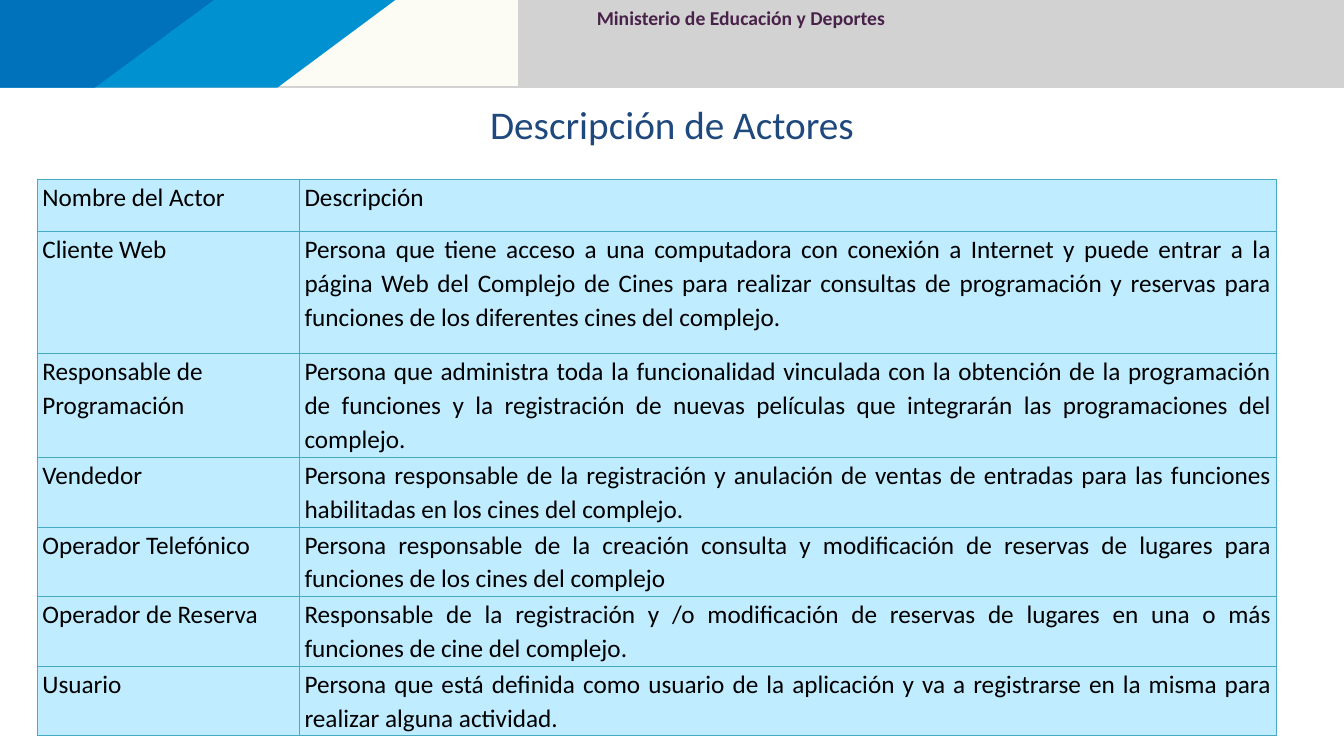
from dataclasses import dataclass

from lxml import etree
from pptx import Presentation, util as u
from pptx.dml.color import RGBColor
from pptx.enum import text as t
from pptx.oxml import ns

FONT = "Calibri"
HUES = {
    "gray": "D2D2D3", "cream": "FCFBF4", "sky": "0091D1", "blue": "0071BB",
    "plum": "492249", "navy": "1F497D", "black": "000000",
    "cell": "BFECFF", "edge": "46AAC5",
}


@dataclass
class Band:
    """Header shape with a flat left side and its own top and bottom widths."""
    hue: str
    top: float
    low: float
    y: float = 0
    base: float = 0.87


@dataclass
class Actor:
    name: str
    about: str
    high: float = 0.69
    align: t.PP_ALIGN = t.PP_ALIGN.JUSTIFY


BANDS = [
    Band("gray", 13.33, 13.33),
    Band("cream", 5.14, 5.14, -0.02, 0.85),
    Band("sky", 3.92, 2.75),
    Band("blue", 2.12, 0.94),
]
ACTORS = [
    Actor("Nombre del Actor", "Descripción", 0.52),
    Actor("Cliente Web",
          "Persona que tiene acceso a una computadora con conexión a Internet y puede "
          "entrar a la página Web del Complejo de Cines para realizar consultas de "
          "programación y reservas para funciones de los diferentes cines del complejo.",
          1.21),
    Actor("Responsable de Programación",
          "Persona que administra toda la funcionalidad vinculada con la obtención de la "
          "programación de funciones y la registración de nuevas películas que "
          "integrarán las programaciones del complejo.",
          1.03, t.PP_ALIGN.LEFT),
    Actor("Vendedor",
          "Persona responsable de la registración y anulación de ventas de entradas para "
          "las funciones habilitadas en los cines del complejo."),
    Actor("Operador Telefónico",
          "Persona responsable de la creación consulta y modificación de reservas de "
          "lugares para funciones de los cines del complejo"),
    Actor("Operador de Reserva",
          "Responsable de la registración y /o modificación de reservas de lugares en "
          "una o más funciones de cine del complejo."),
    Actor("Usuario",
          "Persona que está definida como usuario de la aplicación y va a registrarse en "
          "la misma para realizar alguna actividad."),
]
COLS = (2.6, 9.69)


def tint(name: str) -> RGBColor:
    return RGBColor.from_string(HUES[name])


def write(frame, words: str, size: int, hue: str, align: t.PP_ALIGN,
          bold: bool = False, lead: float = 1.0, after: int = 0) -> None:
    frame.text = words
    para = frame.paragraphs[0]
    para.alignment = align
    para.line_spacing = lead
    para.space_before = u.Pt(0)
    para.space_after = u.Pt(after)
    font = para.runs[0].font
    font.name, font.size, font.bold = FONT, u.Pt(size), bold
    font.color.rgb = tint(hue)


def draw_band(slide, band: Band) -> None:
    top, base = u.Inches(band.y), u.Inches(band.base)
    pen = slide.shapes.build_freeform(0, top)
    pen.add_line_segments([(u.Inches(band.top), top),
                           (u.Inches(band.low), base), (0, base)])
    shape = pen.convert_to_shape()
    shape.shadow.inherit = False
    shape.fill.solid()
    shape.fill.fore_color.rgb = tint(band.hue)
    shape.line.fill.background()


def edge_cell(cell) -> None:
    """Rule all four sides; borders must precede the fill in the cell XML."""
    props = cell._tc.get_or_add_tcPr()
    for spot, side in enumerate(("lnL", "lnR", "lnT", "lnB")):
        line = etree.Element(ns.qn(f"a:{side}"), w=str(u.Pt(0.75)))
        fill = etree.SubElement(line, ns.qn("a:solidFill"))
        etree.SubElement(fill, ns.qn("a:srgbClr"), val=HUES["edge"])
        props.insert(spot, line)


def fill_cell(cell, words: str, align: t.PP_ALIGN) -> None:
    cell.margin_left = cell.margin_right = u.Inches(0.05)
    cell.margin_top = cell.margin_bottom = 0
    cell.vertical_anchor = t.MSO_ANCHOR.TOP
    cell.fill.solid()
    cell.fill.fore_color.rgb = tint("cell")
    write(cell.text_frame, words, 18, "black", align, lead=1.1, after=6)
    edge_cell(cell)


def draw_table(slide) -> None:
    high = sum(actor.high for actor in ACTORS)
    grid = slide.shapes.add_table(len(ACTORS), len(COLS), u.Inches(0.37), u.Inches(1.78),
                                  u.Inches(sum(COLS)), u.Inches(high)).table
    grid.first_row = grid.horz_banding = False
    for col, wide in zip(grid.columns, COLS):
        col.width = u.Inches(wide)
    for row, actor in zip(grid.rows, ACTORS):
        row.height = u.Inches(actor.high)
        fill_cell(row.cells[0], actor.name, actor.align)
        fill_cell(row.cells[1], actor.about, t.PP_ALIGN.JUSTIFY)


def draw_label(slide) -> None:
    box = slide.shapes.add_textbox(u.Inches(5.81), u.Inches(-0.03),
                                   u.Inches(3.08), u.Inches(0.36))
    box.text_frame.word_wrap = False
    write(box.text_frame, "Ministerio de Educación y Deportes", 14, "plum",
          t.PP_ALIGN.CENTER, bold=True, lead=1.15, after=6)


def draw_title(slide) -> None:
    title = slide.shapes.title
    title.left, title.top = u.Inches(1), u.Inches(0.99)
    title.width, title.height = u.Inches(11.33), u.Inches(0.92)
    frame = title.text_frame
    frame.margin_left = frame.margin_right = frame.margin_top = frame.margin_bottom = 0
    frame.vertical_anchor = t.MSO_ANCHOR.TOP
    frame.auto_size = t.MSO_AUTO_SIZE.NONE
    write(frame, "Descripción de Actores", 28, "navy", t.PP_ALIGN.CENTER)


def main() -> None:
    deck = Presentation()
    deck.slide_width, deck.slide_height = u.Inches(13.33), u.Inches(7.5)
    slide = deck.slides.add_slide(deck.slide_layouts[5])
    for band in BANDS:
        draw_band(slide, band)
    draw_label(slide)
    draw_table(slide)
    draw_title(slide)
    deck.save("out.pptx")


if __name__ == "__main__":
    main()
